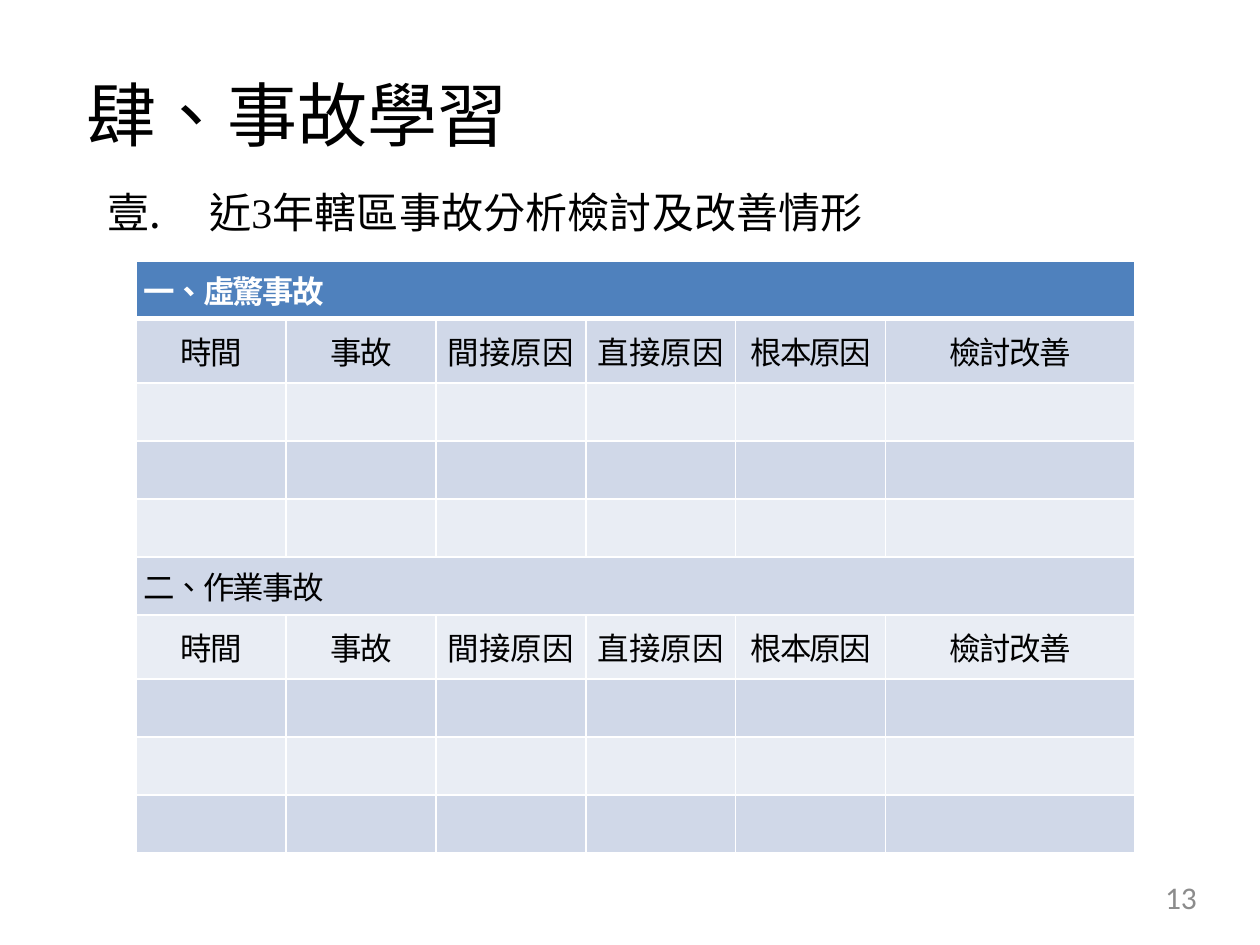
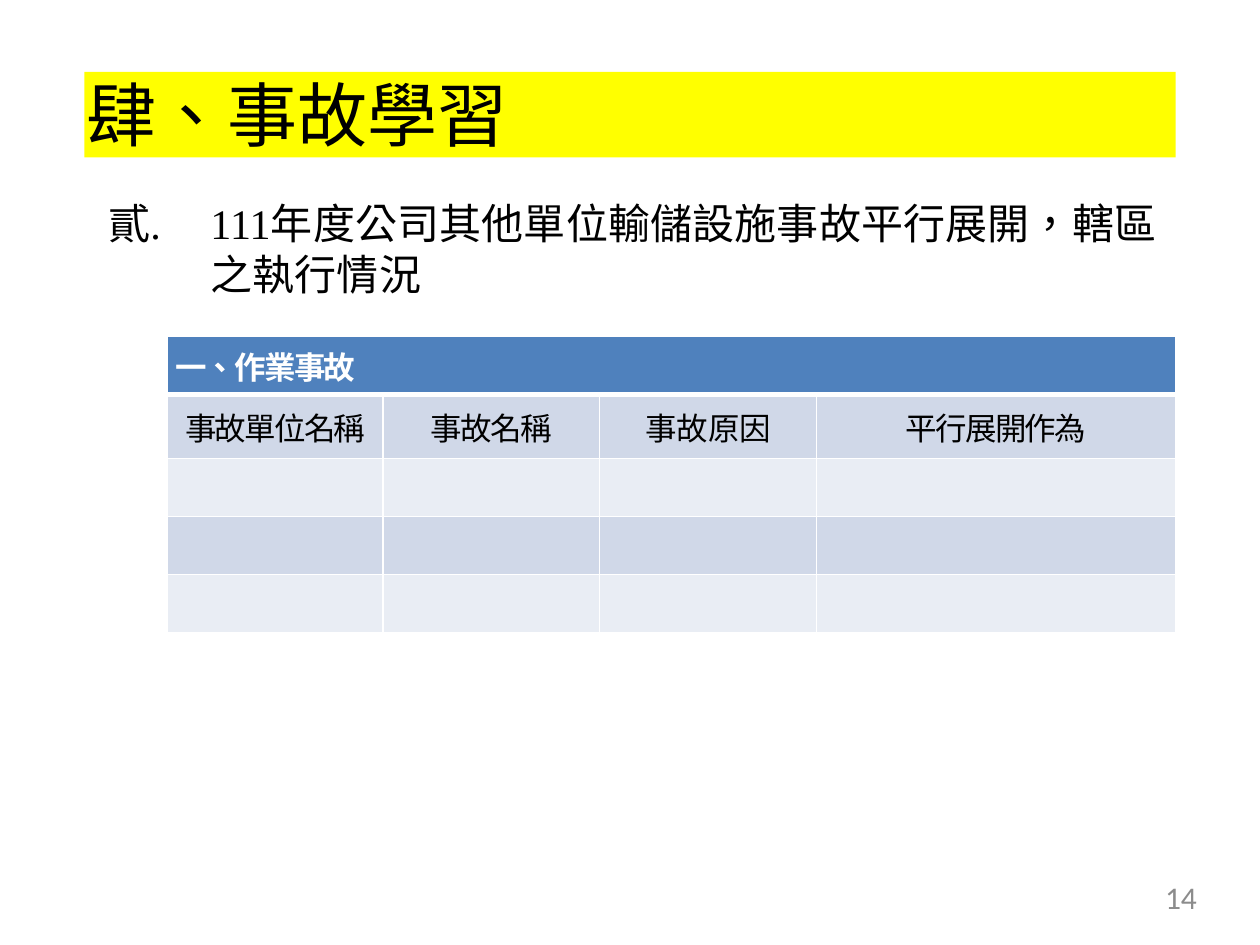
import pptx
import pptx.util
import pptx.dml.color
import pptx.enum.text
import pptx.oxml
from pptx.oxml.ns import qn

Inches = pptx.util.Inches
Pt = pptx.util.Pt
ALIGN = pptx.enum.text.PP_ALIGN
ANCHOR = pptx.enum.text.MSO_ANCHOR

# Shared style
SERIF, CJK, SANS = "Times New Roman", "Noto Sans CJK SC", "Calibri"
BLACK, WHITE, GREY, YELLOW = "000000", "FFFFFF", "8C8C8C", "FFFF00"
HEADER, BANDS = "4F81BD", ("D0D8E8", "E9EDF4")
TITLE_BOX = (0.67, 0.57, 8.66, 0.68)
NUMBER_BOX = (7.2, 6.97, 2.3, 0.38)
TITLE = "肆、事故學習"


def color(value):
    return pptx.dml.color.RGBColor.from_string(value)


def add_xml(parent, tag, **attrs):
    child = parent.makeelement(qn(tag), attrs)
    parent.append(child)
    return child


def place(sp, box):
    sp.left, sp.top, sp.width, sp.height = [Inches(v) for v in box]
    tf = sp.text_frame
    tf.margin_left = tf.margin_top = tf.margin_right = tf.margin_bottom = 0
    tf.word_wrap = True
    tf.auto_size = pptx.enum.text.MSO_AUTO_SIZE.NONE
    tf.vertical_anchor = ANCHOR.TOP
    return tf


def format_text(p, size, font, fill, align=ALIGN.LEFT, bold=False, spacing=0):
    p.alignment = align
    for r in p.runs:
        r.font.size, r.font.name, r.font.bold = Pt(size), font, bold
        r.font.color.rgb = color(fill)
        rPr = r.font._element
        rPr.set("lang", "zh-TW")
        rPr.set("spc", str(round(spacing * 100)))
        if font == CJK:
            rPr.find(qn("a:latin")).addnext(rPr.makeelement(qn("a:ea"), {"typeface": font}))


def add_title(s, box, fill=None):
    sp = s.shapes.title
    tf = place(sp, box)
    tf.text = TITLE
    p = tf.paragraphs[0]
    format_text(p, 40, SERIF, BLACK, spacing=0.1)
    p._p.get_or_add_pPr().set("marL", str(Inches(0.02)))
    if fill:
        sp.fill.solid()
        sp.fill.fore_color.rgb = color(fill)


def add_heading(s, box, text, start):
    """Numbered heading with a hanging indent."""
    tf = place(s.placeholders[1], box)
    tf.text = text
    p = tf.paragraphs[0]
    format_text(p, 24, SERIF, BLACK, spacing=0.1)
    p.space_before = Pt(0)
    pPr = p._p.get_or_add_pPr()
    pPr.set("marL", str(Inches(0.83)))
    pPr.set("indent", str(Inches(-0.81)))
    add_xml(pPr, "a:buFont", typeface=SERIF)
    add_xml(pPr, "a:buAutoNum", type="ea1ChtPeriod", startAt=str(start))


def add_page_number(s, box, number):
    tf = place(s.shapes.add_textbox(0, 0, 0, 0), box)
    tf.text = str(number)
    format_text(tf.paragraphs[0], 18, SANS, GREY, ALIGN.RIGHT)


def set_borders(cell, bottom):
    tcPr = cell._tc.get_or_add_tcPr()
    for i, side in enumerate("LRTB"):
        width = bottom if side == "B" else 1
        ln = tcPr.makeelement(qn("a:ln" + side), {"w": str(Pt(width))})
        add_xml(add_xml(ln, "a:solidFill"), "a:srgbClr", val=WHITE)
        tcPr.insert(i, ln)


def add_accident_table(s, left, top, widths, sections, heads, blank_rows=3):
    """Each section has a merged caption, a row of heads and blank rows."""
    rows = []
    for section in sections:
        rows += [[section], heads] + [[]] * blank_rows
    heights = [0.51 if row is heads else 0.46 for row in rows]
    table = s.shapes.add_table(len(rows), len(widths), Inches(left), Inches(top),
                               Inches(sum(widths)), Inches(sum(heights))).table
    for column, width in zip(table.columns, widths):
        column.width = Inches(width)
    for i, texts in enumerate(rows):
        table.rows[i].height = Inches(heights[i])
        for j in range(len(widths)):
            cell = table.cell(i, j)
            cell.margin_left = cell.margin_right = Inches(0.06)
            cell.margin_top = cell.margin_bottom = Inches(0.03)
            cell.vertical_anchor = ANCHOR.MIDDLE
            cell.fill.solid()
            cell.fill.fore_color.rgb = color(BANDS[(i - 1) % 2] if i else HEADER)
            set_borders(cell, 1 if i else 3)
            if j < len(texts):
                cell.text_frame.text = texts[j]
                loose = texts[j] in ("間接原因", "直接原因", "事故原因")
                format_text(cell.text_frame.paragraphs[0], 18, CJK,
                            BLACK if i else WHITE,
                            ALIGN.CENTER if texts is heads else ALIGN.LEFT,
                            bold=i == 0, spacing=0 if loose else -1)
        if len(texts) == 1:
            table.cell(i, 0).merge(table.cell(i, len(widths) - 1))


def add_slide(prs, number, heading_box, heading, start, title_fill=None):
    s = prs.slides.add_slide(prs.slide_layouts[1])
    add_title(s, TITLE_BOX, title_fill)
    add_heading(s, heading_box, heading, start)
    add_page_number(s, NUMBER_BOX, number)
    return s


prs = pptx.Presentation()
prs.slide_width, prs.slide_height = Inches(10), Inches(7.5)

# Review of local accidents
s = add_slide(prs, 13, (0.83, 1.48, 7.08, 0.4), "近3年轄區事故分析檢討及改善情形", 1)
add_accident_table(s, 1.08, 2.07, [1.19] * 5 + [1.98],
                   ["一、虛驚事故", "二、作業事故"],
                   ["時間", "事故", "間接原因", "直接原因", "根本原因", "檢討改善"])

# Lessons from other units
s = add_slide(prs, 14, (0.84, 1.57, 8.66, 0.81),
              "111年度公司其他單位輸儲設施事故平行展開，轄區之執行情況", 2, YELLOW)
add_accident_table(s, 1.33, 2.67, [1.71, 1.72, 1.72, 2.85],
                   ["一、作業事故"],
                   ["事故單位名稱", "事故名稱", "事故原因", "平行展開作為"])

prs.save("out.pptx")
